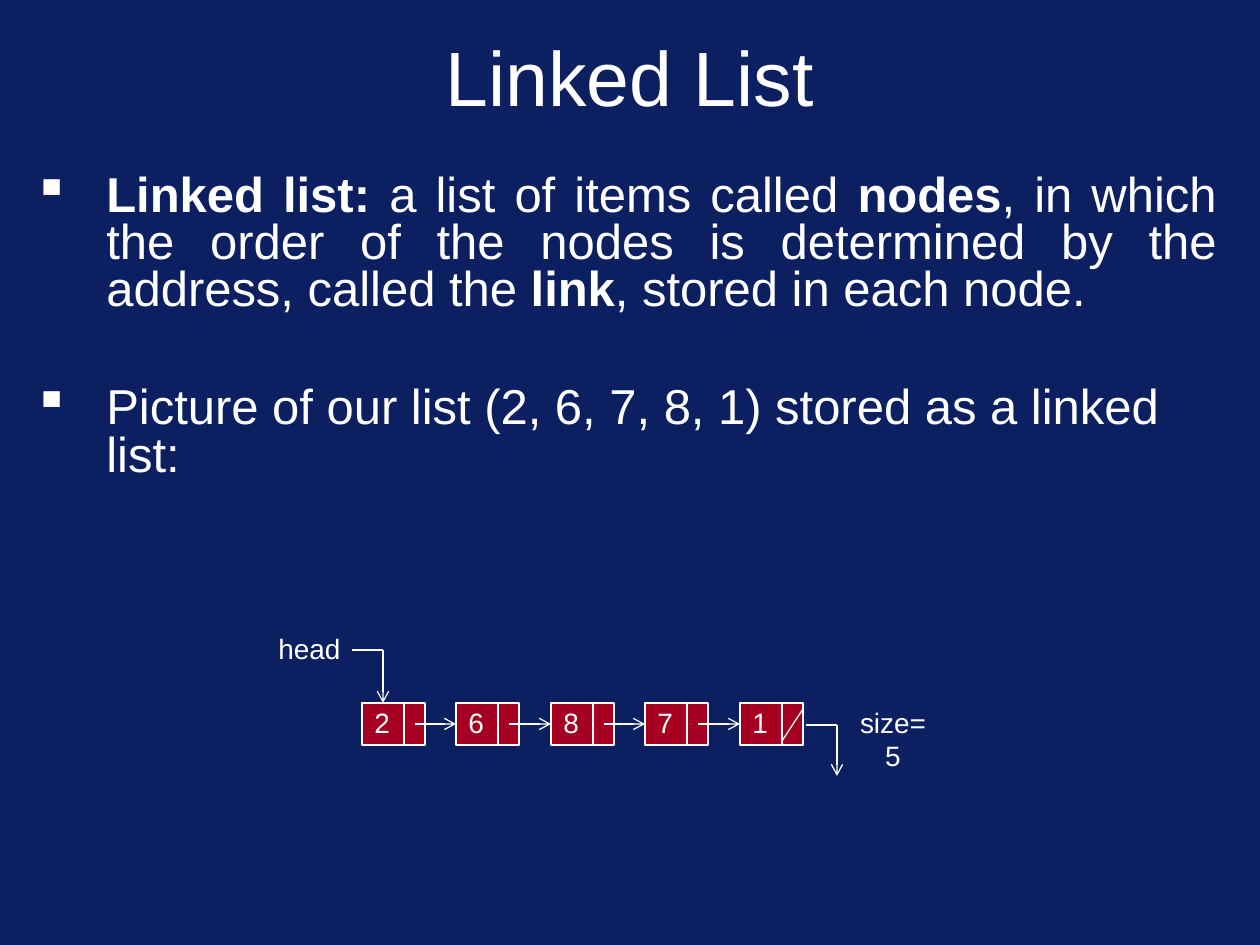
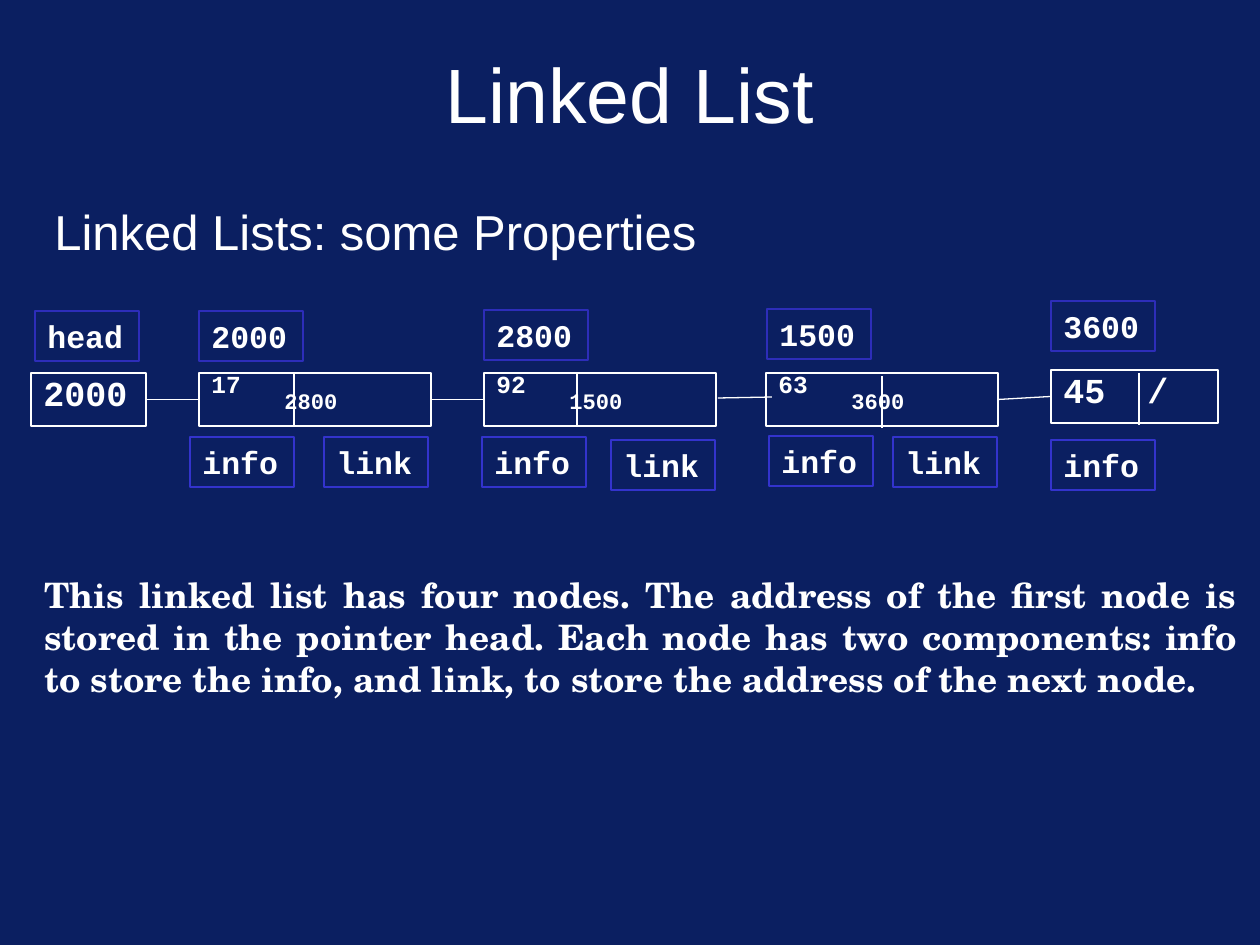
from lxml.etree import SubElement as Sub
from pptx import Presentation
from pptx.dml.color import RGBColor as Rgb
from pptx.enum.shapes import MSO_CONNECTOR as Conn, MSO_SHAPE as Kind
from pptx.enum.text import MSO_ANCHOR as Anchor, PP_ALIGN as Align
from pptx.oxml.ns import qn
from pptx.util import Emu, Pt

NAVY = Rgb(0x0B, 0x1F, 0x61)
WHITE = Rgb(0xFF, 0xFF, 0xFF)
RED = Rgb(0xA5, 0x00, 0x21)
BLUE = Rgb(0x2D, 0x2D, 0xB9)
VIOLET = Rgb(0x33, 0x33, 0xCC)
SANS, MONO, SERIF = "Arial", "Courier New", "TeX Gyre Schola"
SCALE = 914400 / 126


def px(num):
    return Emu(round(num * SCALE))


def write(frame, text, size=16, font=SANS, bold=False, align=Align.LEFT,
          space=None, before=0, hang=0, left=0, bullet=None, tab=None, more=False):
    """Add one paragraph; parts between asterisks switch weight."""
    para = frame.add_paragraph() if more else frame.paragraphs[0]
    props = para._p.get_or_add_pPr()
    if hang or left:
        props.set("marL", str(px(left or hang)))
        props.set("indent", str(-px(hang)))
    if bullet:
        color = Sub(props, qn("a:buClr"))
        Sub(color, qn("a:srgbClr"), val=str(WHITE))
        Sub(props, qn("a:buChar"), char=bullet)
    if tab:
        stops = Sub(props, qn("a:tabLst"))
        Sub(stops, qn("a:tab"), pos=str(px(tab)), algn="l")
    para.alignment = align
    para.space_before = Pt(before)
    if space:
        para.line_spacing = space
    for num, part in enumerate(text.split("*")):
        if part:
            run = para.add_run()
            run.text = part
            run.font.name, run.font.size = font, Pt(size)
            run.font.bold = bold != bool(num % 2)
            run.font.color.rgb = WHITE


def label(slide, x, y, w, h, text="", wrap=True, anchor=Anchor.TOP, **style):
    frame = slide.shapes.add_textbox(px(x), px(y), px(w), px(h)).text_frame
    frame.word_wrap = wrap
    frame.vertical_anchor = anchor
    if text:
        write(frame, text, **style)
    return frame


def box(slide, x, y, w, h, fill=None, edge=WHITE, text="", **style):
    shape = slide.shapes.add_shape(Kind.RECTANGLE, px(x), px(y), px(w), px(h))
    shape.shadow.inherit = False
    if fill:
        shape.fill.solid()
        shape.fill.fore_color.rgb = fill
    else:
        shape.fill.background()
    shape.line.color.rgb = edge
    shape.line.width = Pt(0.75)
    shape.text_frame.vertical_anchor = Anchor.TOP
    if text:
        write(shape.text_frame, text, **style)
    return shape


def rule(slide, x1, y1, x2, y2, arrow=False, start=None, end=None):
    line = slide.shapes.add_connector(Conn.STRAIGHT, px(x1), px(y1), px(x2), px(y2))
    line.line.color.rgb = WHITE
    line.line.width = Pt(0.75)
    if arrow:
        Sub(line.line._get_or_add_ln(), qn("a:tailEnd"), type="arrow")
    Sub(line._element.spPr, qn("a:effectLst"))
    if start:
        line.begin_connect(start, 3)
    if end:
        line.end_connect(end, 1)


def page(deck, top, high):
    slide = deck.slides.add_slide(deck.slide_layouts[6])
    slide.background.fill.solid()
    slide.background.fill.fore_color.rgb = NAVY
    label(slide, 63, top, 1134, high, "Linked List", size=44,
          align=Align.CENTER, anchor=Anchor.MIDDLE)
    return slide


def chain(slide, items):
    """Draw the red nodes with their links."""
    top, mid, wide, high = 703, 724, 63, 42
    lefts = [362 + 189 * num // 2 for num in range(len(items))]
    nodes = [box(slide, x, top, wide, high, fill=RED) for x in lefts]
    for x, item in zip(lefts, items):
        rule(slide, x + 42, top, x + 42, top + high)
        label(slide, x, 699, 34, 47, item)
    for x, goal, node in zip(lefts, lefts[1:], nodes[1:]):
        rule(slide, x + 53, mid, goal, mid, arrow=True, end=node)
    last = lefts[-1]
    rule(slide, last + wide, 709, last + 42, 741)


def define(deck):
    slide = page(deck, 26, 100)
    style = dict(size=28, space=0.8, hang=73, bullet="▪")
    body = label(
        slide, 21, 169, 1208, 378,
        "*Linked list:* a list of items called *nodes*, in which the order of the nodes "
        "is determined by the address, called the *link*, stored in each node.",
        align=Align.JUSTIFY, **style)
    write(body, "Picture of our list (2, 6, 7, 8, 1) stored as a linked list:",
          before=40.5, more=True, **style)
    chain(slide, "26871")
    label(slide, 266, 625, 87, 47, "head", wrap=False, align=Align.CENTER)
    rule(slide, 352, 650, 383, 650)
    rule(slide, 383, 650, 383, 703, arrow=True)
    label(slide, 840, 699, 106, 47, "size=5", wrap=False, align=Align.CENTER)
    rule(slide, 806, 725, 837, 725)
    rule(slide, 837, 725, 837, 776, arrow=True)


def detail(deck):
    slide = page(deck, 50, 86)
    label(slide, 42, 189, 1187, 95, "Linked Lists: some Properties", size=28, space=1.1)
    code = dict(font=MONO, bold=True)
    big = dict(size=20, space=0.8, **code)
    cells = [box(slide, 31, 373, 115, 53, text="2000", **big)]
    for x, info, link in ((199, "17", "2800"), (484, "92", "1500"), (766, "63", "3600")):
        cell = box(slide, x, 373, 232, 53, text=info, size=14, space=0.6, **code)
        write(cell.text_frame, link, size=12.6, space=0.6, left=73, more=True, **code)
        cells.append(cell)
    cells.append(box(slide, 1051, 370, 167, 53, text="45\t/", tab=84, **big))
    for x, y in ((294, 373), (577, 373), (882, 376), (1139, 373)):
        rule(slide, x, y, x, y + 52)
    head, first, second, third, last = cells
    for start, end in ((head, first), (first, second), (third, last)):
        rule(slide, 0, 0, 0, 0, start=start, end=end)
    rule(slide, 718, 398, 772, 397)
    tags = (
        (BLUE, ((35, 311, "head"), (199, 311, "2000"), (484, 310, "2800"),
                (767, 309, "1500"), (1051, 301, "3600"))),
        (VIOLET, ((190, 437, "info"), (324, 437, "link"), (482, 437, "info"),
                  (611, 440, "link"), (769, 436, "info"), (893, 437, "link"),
                  (1051, 440, "info"))))
    for edge, group in tags:
        for x, y, text in group:
            box(slide, x, y, 104, 50, edge=edge, text=text, size=18, **code)
    label(slide, 32, 567, 1218, 139,
          "This linked list has four nodes. The address of the first node is stored in the "
          "pointer head. Each node has two components: info to store the info, and link, "
          "to store the address of the next node.",
          size=20, font=SERIF, bold=True, align=Align.JUSTIFY)


def main():
    deck = Presentation()
    deck.slide_width, deck.slide_height = px(1260), px(945)
    define(deck)
    detail(deck)
    deck.save("out.pptx")


if __name__ == "__main__":
    main()
